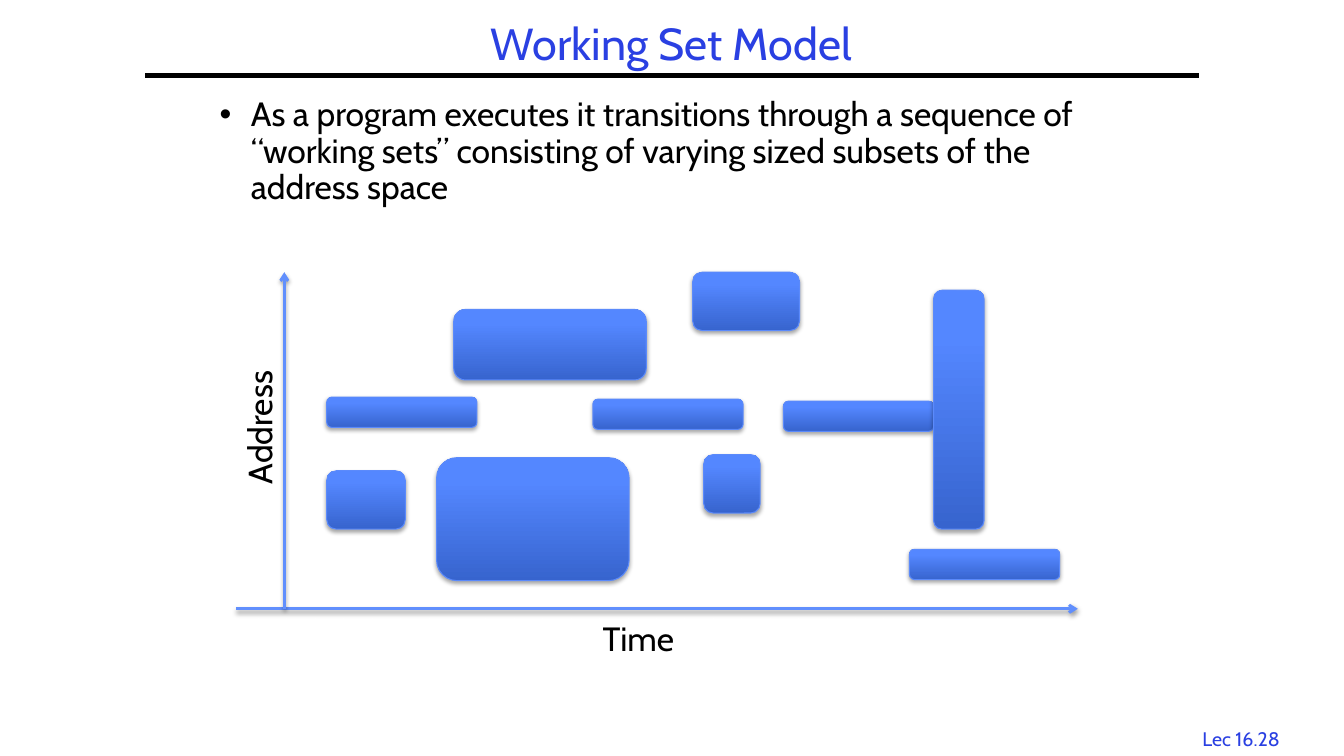
from lxml import etree
from pptx import Presentation
from pptx.dml.color import RGBColor
from pptx.enum.shapes import MSO_CONNECTOR, MSO_SHAPE
from pptx.enum.text import MSO_ANCHOR, MSO_AUTO_SIZE, PP_ALIGN
from pptx.oxml.ns import qn
from pptx.util import Inches, Pt

STRAIGHT = MSO_CONNECTOR.STRAIGHT
ROUNDED = MSO_SHAPE.ROUNDED_RECTANGLE
TOP, MIDDLE = MSO_ANCHOR.TOP, MSO_ANCHOR.MIDDLE
LEFT, CENTER = PP_ALIGN.LEFT, PP_ALIGN.CENTER
GROW = MSO_AUTO_SIZE.SHAPE_TO_FIT_TEXT

# Content
FONT = "Cabin"
BLUE, BLACK = "2A40E2", "000000"
AXIS_BLUE, EDGE_BLUE = "618FFD", "5B8AFB"
GRADIENT = [(0, "3764CE"), (80, "5487FF"), (100, "5688FF")]

TITLE = "Working Set Model"
BODY = ("As a program executes it transitions through a sequence of "
        "“working sets” consisting of varying sized subsets of the address space")
FOOTER = "Lec 16.28"

AXES = [((2.34, 6.04), (10.69, 6.04)), ((2.82, 6.04), (2.82, 2.7))]
AXIS_LABELS = [("Time", (5.88, 6.08, 0.94, 0.5), 0),
               ("Address", (1.85, 3.93, 1.44, 0.5), 270)]

BAR = (1.49, 0.3)
WORKING_SETS = [  # (left, top), (width, height)
    ((3.24, 4.67), (0.78, 0.58)),
    ((3.24, 3.94), BAR),
    ((4.33, 4.54), (1.91, 1.22)),
    ((4.5, 3.07), (1.91, 0.7)),
    ((5.88, 3.96), BAR),
    ((6.98, 4.51), (0.56, 0.58)),
    ((6.87, 2.7), (1.06, 0.58)),
    ((7.77, 3.98), BAR),
    ((9.26, 2.88), (0.5, 2.37)),
    ((9.02, 5.45), BAR),
]


def rgb(value):
    return RGBColor.from_string(value)


def sub(parent, tag, **attrs):
    el = etree.SubElement(parent, qn(tag))
    for key, value in attrs.items():
        el.set(key, str(value))
    return el


def add_shadow(effects, opacity, distance):
    shadow = sub(effects, "a:outerShdw", blurRad=Pt(3.1), dist=Pt(distance),
                 dir=90 * 60000, rotWithShape=0)
    color = sub(shadow, "a:srgbClr", val=BLACK)
    sub(color, "a:alpha", val=opacity * 1000)


def add_text(text, box, size, color, align=LEFT, anchor=TOP, wrap=True,
             spacing=None, bullet=False):
    sp = slide.shapes.add_textbox(*map(Inches, box))
    tf = sp.text_frame
    tf.word_wrap = wrap
    tf.auto_size = MSO_AUTO_SIZE.NONE if wrap else GROW
    tf.vertical_anchor = anchor
    p = tf.paragraphs[0]
    if bullet:
        pPr = p._p.get_or_add_pPr()
        pPr.set("marL", str(Inches(0.31)))
        pPr.set("indent", str(Inches(-0.31)))
        sub(pPr, "a:buFont", typeface="Arial")
        sub(pPr, "a:buChar", char="•")
    p.alignment = align
    if spacing:
        p.line_spacing = spacing
    r = p.add_run()
    r.text = text
    r.font.name, r.font.size = FONT, Pt(size)
    r.font.color.rgb = rgb(color)
    return sp


def add_line(start, end, color, width):
    line = slide.shapes.add_connector(STRAIGHT, *map(Inches, start + end))
    line.line.color.rgb = rgb(color)
    line.line.width = Pt(width)
    return line, sub(line._element.spPr, "a:effectLst")


def add_axis(start, end):
    line, effects = add_line(start, end, AXIS_BLUE, 2)
    sub(line.line._get_or_add_ln(), "a:tailEnd", type="arrow")
    add_shadow(effects, 38, 1.6)


def add_working_set(position, size):
    sp = slide.shapes.add_shape(ROUNDED, *map(Inches, position + size))
    sp.line.color.rgb = rgb(EDGE_BLUE)
    sp.line.width = Pt(0.75)
    sp.fill.gradient()
    grad = sp._element.spPr.find(qn("a:gradFill"))
    for child in list(grad):
        grad.remove(child)
    stops = sub(grad, "a:gsLst")
    for percent, color in GRADIENT:
        stop = sub(stops, "a:gs", pos=percent * 1000)
        sub(stop, "a:srgbClr", val=color)
    sub(grad, "a:lin", ang=270 * 60000, scaled=0)
    sp.shadow.inherit = False
    add_shadow(sp._element.spPr.find(qn("a:effectLst")), 35, 1.8)


prs = Presentation()
prs.slide_width, prs.slide_height = Inches(13.33), Inches(7.5)
slide = prs.slides.add_slide(prs.slide_layouts[6])

# Footer, title with rule, and body text
add_text(FOOTER, (11.77, 7.16, 1.08, 0.33), 14, BLUE, CENTER, wrap=False)
add_line((1.44, 0.75), (11.89, 0.75), BLACK, 3)
add_text(TITLE, (1.44, 0.17, 10.44, 0.58), 32, BLUE, CENTER, MIDDLE, spacing=0.9)
add_text(BODY, (2.08, 0.92, 9, 1.79), 24, BLACK, spacing=0.9, bullet=True)

# Axes and their labels
for start, end in AXES:
    add_axis(start, end)
for label, box, rotation in AXIS_LABELS:
    add_text(label, box, 24, BLACK, wrap=False).rotation = rotation

# Working sets over time
for position, size in WORKING_SETS:
    add_working_set(position, size)

prs.save("out.pptx")
